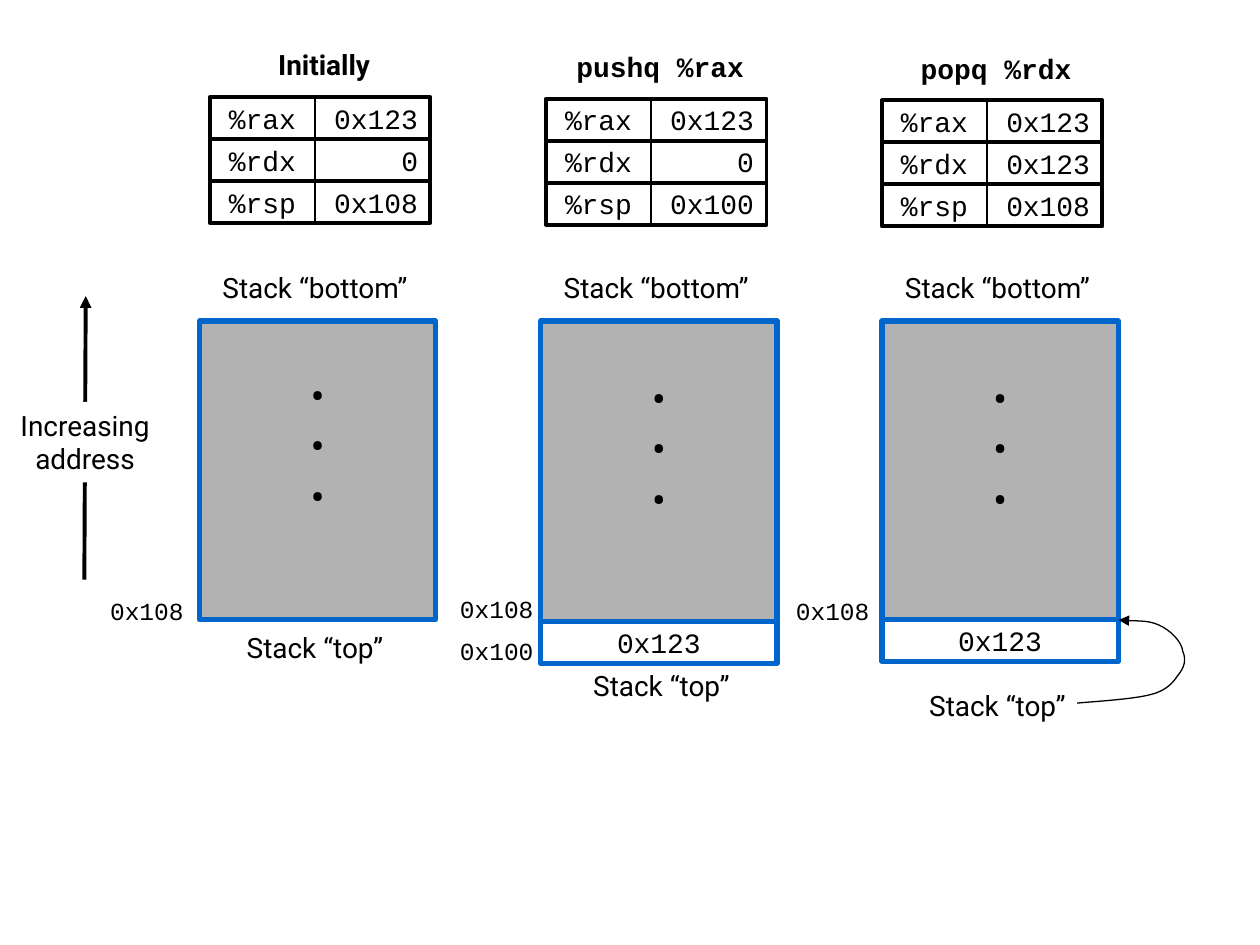
from lxml import etree
from pptx import Presentation
from pptx.dml.color import RGBColor
from pptx.enum.shapes import MSO_CONNECTOR, MSO_SHAPE
from pptx.enum.text import MSO_ANCHOR, MSO_AUTO_SIZE, PP_ALIGN
from pptx.oxml.ns import qn
from pptx.util import Pt

BLACK = RGBColor(0x00, 0x00, 0x00)
WHITE = RGBColor(0xFF, 0xFF, 0xFF)
GRAY = RGBColor(0xB2, 0xB2, 0xB2)
BLUE = RGBColor(0x00, 0x66, 0xCC)
SANS, MONO = "Roboto", "Courier New"
CENTER, RIGHT = PP_ALIGN.CENTER, PP_ALIGN.RIGHT
MIDDLE = MSO_ANCHOR.MIDDLE
FIT_SHAPE = MSO_AUTO_SIZE.SHAPE_TO_FIT_TEXT
RECT, STRAIGHT = MSO_SHAPE.RECTANGLE, MSO_CONNECTOR.STRAIGHT

ROW_H = 24
NAME_W, VALUE_W = 60, 66
STACK_W, LABEL_W, LABEL_H = 135, 132, 26.5
ADDRESS_W = 72
DOT_LINE = 28.8

# Title, title font, register values
REGISTERS = [
    ("Initially", SANS, ["0x123", "0", "0x108"]),
    ("pushq %rax", MONO, ["0x123", "0", "0x100"]),
    ("popq %rdx", MONO, ["0x123", "0x123", "0x108"]),
]
# Stack height, top of the pushed cell, place of the "top" label,
# addresses as (text, left, top, alignment)
STACKS = [
    (170.6, None, (114, 357), [("0x108", 48, 337, CENTER)]),
    (174, 355, (312, 378.7),
     [("0x108", 240, 336, RIGHT), ("0x100", 240, 360, RIGHT)]),
    (174, 354, (504, 390), [("0x108", 432, 337, RIGHT)]),
]


def set_text(sp, text, font, size, align=CENTER, bold=False):
    tf = sp.text_frame
    tf.text = text
    for p in tf.paragraphs:
        p.alignment = align
        for r in p.runs:
            r.font.name, r.font.size, r.font.bold = font, Pt(size), bold
            r.font.color.rgb = BLACK


def add_label(s, text, x, y, w, h, font=SANS, size=16, align=CENTER, bold=False):
    sp = s.shapes.add_textbox(Pt(x), Pt(y), Pt(w), Pt(h))
    sp.text_frame.word_wrap = True
    sp.text_frame.auto_size = FIT_SHAPE
    set_text(sp, text, font, size, align, bold)
    return sp


def add_box(shapes, x, y, w, h, fill, line, width):
    sp = shapes.add_shape(RECT, Pt(x), Pt(y), Pt(w), Pt(h))
    sp.shadow.inherit = False
    if fill is None:
        sp.fill.background()
    else:
        sp.fill.solid()
        sp.fill.fore_color.rgb = fill
    sp.line.color.rgb = line
    sp.line.width = Pt(width)
    sp.text_frame.vertical_anchor = MIDDLE
    sp.text_frame.word_wrap = False
    return sp


def add_arrowhead(line):
    etree.SubElement(line.line._get_or_add_ln(), qn("a:tailEnd"), type="triangle")


def add_registers(s, x, y, title, title_font, values):
    # Register grid: cells first, then a heavier frame round each row
    group = s.shapes.add_group_shape()
    rows = [y + i * ROW_H for i in range(len(values))]
    for name, value, top in zip(("%rax", "%rdx", "%rsp"), values, rows):
        for text, left, w, align in ((name, x, NAME_W, CENTER),
                                     (value, x + NAME_W, VALUE_W, RIGHT)):
            cell = add_box(group.shapes, left, top, w, ROW_H, WHITE, BLACK, 1)
            set_text(cell, text, MONO, 16, align)
    for top in rows:
        add_box(group.shapes, x, top, NAME_W + VALUE_W, ROW_H, None, BLACK, 2.25)
    add_label(s, title, x + 4.5, y - 31.5, 121.5, LABEL_H, title_font, bold=True)


def add_stack(s, x, y, height, cell_top, top_label, addresses):
    # Stack body, with its dots one half line above the middle
    body = add_box(s.shapes, x, y, STACK_W, height, GRAY, BLUE, 3)
    set_text(body, "•\n•\n•", SANS, 24)
    body.text_frame.margin_bottom = Pt(3.6 + DOT_LINE)
    # Pushed value
    if cell_top is not None:
        cell = add_box(s.shapes, x, cell_top, STACK_W, ROW_H, WHITE, BLUE, 3)
        set_text(cell, "0x123", MONO, 16)
    # Labels and addresses
    add_label(s, "Stack “bottom”", x, y - 32.4, LABEL_W, LABEL_H)
    add_label(s, "Stack “top”", *top_label, LABEL_W, LABEL_H)
    for text, left, top, align in addresses:
        add_label(s, text, left, top, ADDRESS_W, ROW_H, MONO, 14, align)


def add_address_axis(s, x, y, w, h):
    axis = s.shapes.add_connector(STRAIGHT, Pt(x + w / 2 - 0.4), Pt(y + h),
                                  Pt(x + w / 2 + 0.4), Pt(y))
    axis.line.color.rgb = BLACK
    axis.line.width = Pt(2.25)
    add_arrowhead(axis)
    etree.SubElement(axis._element.spPr, qn("a:effectLst"))
    label = add_label(s, "Increasing\naddress", x, y + 60.5, w, 46)
    label.fill.solid()
    label.fill.fore_color.rgb = WHITE


def add_curved_arrow(s, x, y):
    # Start point, then three points for each Bezier segment
    points = [(0, 47.5), (6.5, 46.8), (32.4, 45.4), (42.5, 42.5),
              (51, 40.3), (54.7, 36), (57.6, 31.7),
              (61.2, 27.4), (62.6, 23), (60.5, 18),
              (59.8, 12.2), (53.3, 5.8), (46.8, 2.9),
              (41, 0.2), (28.8, 0.6), (23.8, 0)]
    start, *rest = [(Pt(x + dx), Pt(y + dy)) for dx, dy in points]
    builder = s.shapes.build_freeform(*start)
    builder.add_line_segments(rest, close=False)
    sp = builder.convert_to_shape()
    # Turn each three straight segments into one cubic curve
    path = sp._element.find(".//" + qn("a:path"))
    lines = path.findall(qn("a:lnTo"))
    for i in range(0, len(lines), 3):
        curve = etree.SubElement(path, qn("a:cubicBezTo"))
        for line in lines[i:i + 3]:
            curve.append(line[0])
            path.remove(line)
    sp.shadow.inherit = False
    sp.fill.background()
    sp.line.color.rgb = BLACK
    sp.line.width = Pt(0.75)
    add_arrowhead(sp)


def main():
    prs = Presentation()
    prs.slide_width, prs.slide_height = Pt(720), Pt(540)
    s = prs.slides.add_slide(prs.slide_layouts[6])
    add_address_axis(s, 0, 169.2, 97.2, 162)
    for i, stack in enumerate(STACKS):
        add_stack(s, 114 + 195 * i, 183.5, *stack)
    for i, registers in enumerate(REGISTERS):
        add_registers(s, 120 + 192 * i, 55.4 + i, *registers)
    add_curved_arrow(s, 615.5, 354.3)
    prs.save("out.pptx")


if __name__ == "__main__":
    main()
